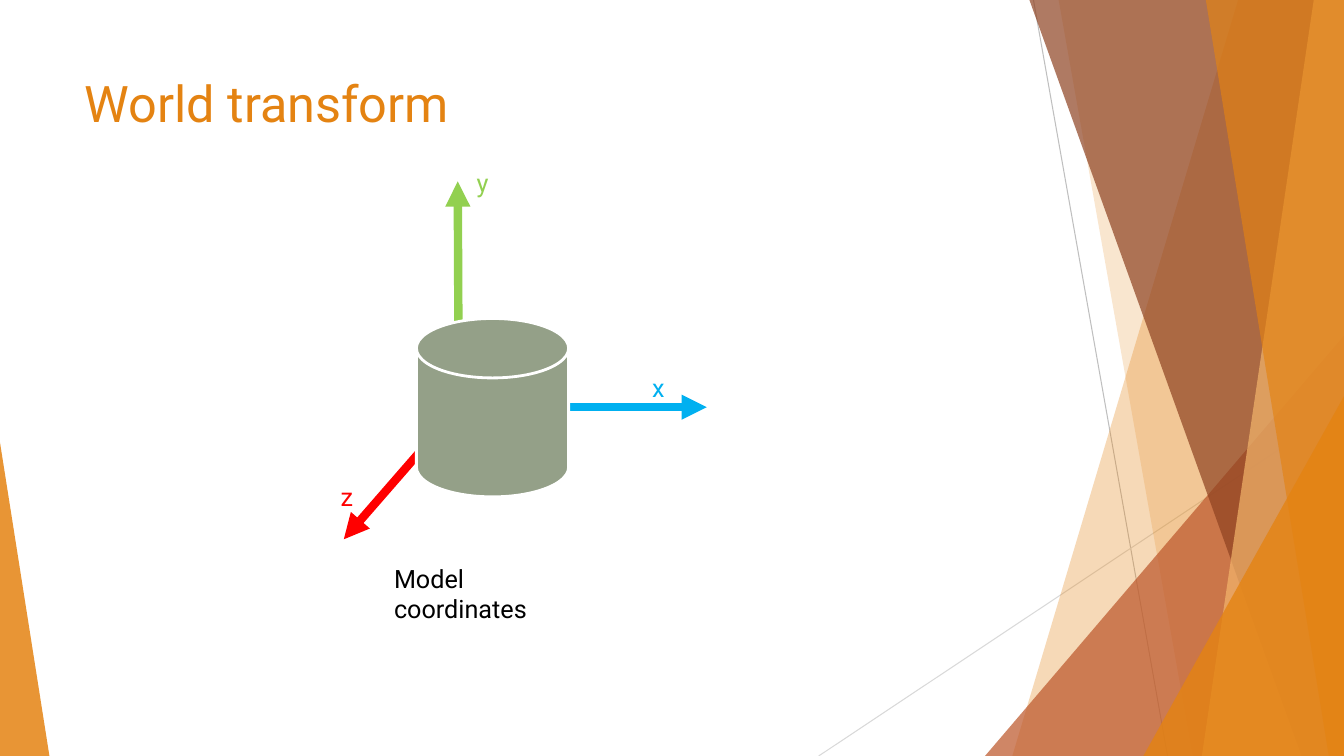
import dataclasses

import lxml.etree
import pptx
import pptx.dml.color
import pptx.enum.shapes
import pptx.enum.text
import pptx.oxml.ns
import pptx.util

SHAPES = pptx.enum.shapes.MSO_SHAPE
COLUMNS, ROWS = 13.33, 7.5
CELL = pptx.util.Inches(1)


@dataclasses.dataclass(frozen=True)
class Theme:
    font: str = "Roboto"
    title_size: int = 36
    label_size: int = 18
    axis_width: float = 6
    outline_width: float = 2
    hairline_width: float = 0.75
    orange: str = "E48312"
    rust: str = "BD582C"
    brown: str = "8E4221"
    apricot: str = "F3B56C"
    sage: str = "94A088"
    white: str = "FFFFFF"
    black: str = "000000"
    grey: str = "BFBFBF"
    pale_grey: str = "D9D9D9"
    x_axis: str = "00B0F0"
    y_axis: str = "92D050"
    z_axis: str = "FF0000"


@dataclasses.dataclass(frozen=True)
class Box:
    left: float
    top: float
    width: float
    height: float

    def point(self, column, row):
        return round((self.left + column) * CELL), round((self.top + row) * CELL)

    def area(self, column, row, width, height):
        return *self.point(column, row), round(width * CELL), round(height * CELL)


THEME = Theme()


def rgb(colour):
    return pptx.dml.color.RGBColor.from_string(colour)


def add_element(parent, tag, **attributes):
    return lxml.etree.SubElement(parent, pptx.oxml.ns.qn(tag), **attributes)


def paint(shape, colour, opacity=100):
    shape.shadow.inherit = False
    shape.fill.solid()
    shape.fill.fore_color.rgb = rgb(colour)
    shape.line.fill.background()
    if opacity < 100:
        solid = shape._element.spPr.find(pptx.oxml.ns.qn("a:solidFill"))
        add_element(solid[0], "a:alpha", val=str(opacity * 1000))


def write(frame, text, size, colour):
    paragraph = frame.paragraphs[0]
    paragraph.alignment = pptx.enum.text.PP_ALIGN.LEFT
    run = paragraph.add_run()
    run.text = text
    run.font.name = THEME.font
    run.font.size = pptx.util.Pt(size)
    run.font.color.rgb = rgb(colour)


def draw_line(slide, start, end, colour, width, arrow=False):
    line = slide.shapes.add_connector(
        pptx.enum.shapes.MSO_CONNECTOR.STRAIGHT, *start, *end)
    line.line.width = pptx.util.Pt(width)
    line.line.color.rgb = rgb(colour)
    properties = line._element.spPr
    if arrow:
        stroke = properties.find(pptx.oxml.ns.qn("a:ln"))
        add_element(stroke, "a:tailEnd", type="triangle")
    add_element(properties, "a:effectLst")


def draw_band(slide, box, top_column, bottom_column, colour, opacity):
    builder = slide.shapes.build_freeform(*box.point(top_column, 0), scale=1.0)
    builder.add_line_segments([
        box.point(box.width, 0),
        box.point(box.width, box.height),
        box.point(bottom_column, box.height),
    ])
    paint(builder.convert_to_shape(), colour, opacity)


def draw_wedge(slide, box, width, height, apex, colour, opacity):
    wedge = slide.shapes.add_shape(
        SHAPES.ISOSCELES_TRIANGLE,
        *box.area(apex * (box.width - width), box.height - height, width, height))
    wedge.adjustments[0] = apex
    paint(wedge, colour, opacity)


def draw_right_facets(slide, box):
    draw_line(slide, box.point(2.25, 0), box.point(3.58, box.height),
              THEME.grey, THEME.hairline_width)
    draw_line(slide, box.point(box.width, 4.03), box.point(0.12, box.height),
              THEME.pale_grey, THEME.hairline_width)
    draw_band(slide, box, 4.28, 2.04, THEME.orange, 30)
    draw_band(slide, box, 2.5, 3.83, THEME.orange, 20)
    draw_wedge(slide, box, 3.56, 4.17, 1, THEME.rust, 72)
    draw_band(slide, box, 2.21, 4.91, THEME.brown, 70)
    draw_band(slide, box, 5.03, 3.92, THEME.apricot, 70)
    draw_band(slide, box, 3.96, 5.18, THEME.orange, 65)
    draw_wedge(slide, box, 1.99, 3.57, 1, THEME.orange, 80)


def draw_left_facet(slide, box):
    draw_wedge(slide, box, box.width, box.height, 0, THEME.orange, 85)


def fill_title(slide, box, text):
    title = slide.shapes.title
    title.left, title.top, title.width, title.height = box.area(
        0, 0, box.width, box.height)
    title.text_frame.vertical_anchor = pptx.enum.text.MSO_ANCHOR.TOP
    write(title.text_frame, text, THEME.title_size, THEME.orange)


def add_label(slide, area, text, colour, right_margin=0):
    label = slide.shapes.add_textbox(*area)
    label.text_frame.word_wrap = True
    label.text_frame.margin_right = round(right_margin * CELL)
    write(label.text_frame, text, THEME.label_size, colour)


def draw_model(slide, box):
    origin = box.point(1.27, 2.43)
    axes = [
        ("x", (3.73, 2.43), (3.09, 2.03), THEME.x_axis),
        ("y", (1.26, 0.19), (1.35, 0), THEME.y_axis),
        ("z", (0.13, 3.74), (0, 3.12), THEME.z_axis),
    ]
    for _, tip, _, colour in axes:
        draw_line(slide, origin, box.point(*tip), colour,
                  THEME.axis_width, arrow=True)

    cylinder = slide.shapes.add_shape(
        SHAPES.FLOWCHART_MAGNETIC_DISK, *box.area(0.85, 1.55, 1.51, 1.77))
    paint(cylinder, THEME.sage)
    cylinder.line.color.rgb = rgb(THEME.white)
    cylinder.line.width = pptx.util.Pt(THEME.outline_width)

    add_label(slide, box.area(0.53, 3.93, 2.26, 0.4),
              "Model coordinates", THEME.black, right_margin=0.5)
    for name, _, corner, colour in axes:
        add_label(slide, box.area(*corner, 0.33, 0.4), name, colour)


def main():
    deck = pptx.Presentation()
    deck.slide_width = round(COLUMNS * CELL)
    deck.slide_height = round(ROWS * CELL)
    slide = deck.slides.add_slide(deck.slide_layouts.get_by_name("Title Only"))
    draw_right_facets(slide, Box(8, 0, COLUMNS - 8, ROWS))
    draw_left_facet(slide, Box(0, 4.39, 0.49, ROWS - 4.39))
    fill_title(slide, Box(0.74, 0.67, 9.4, 1.44), "World transform")
    draw_model(slide, Box(3.28, 1.61, 3.73, 4.33))
    deck.save("out.pptx")


if __name__ == "__main__":
    main()
